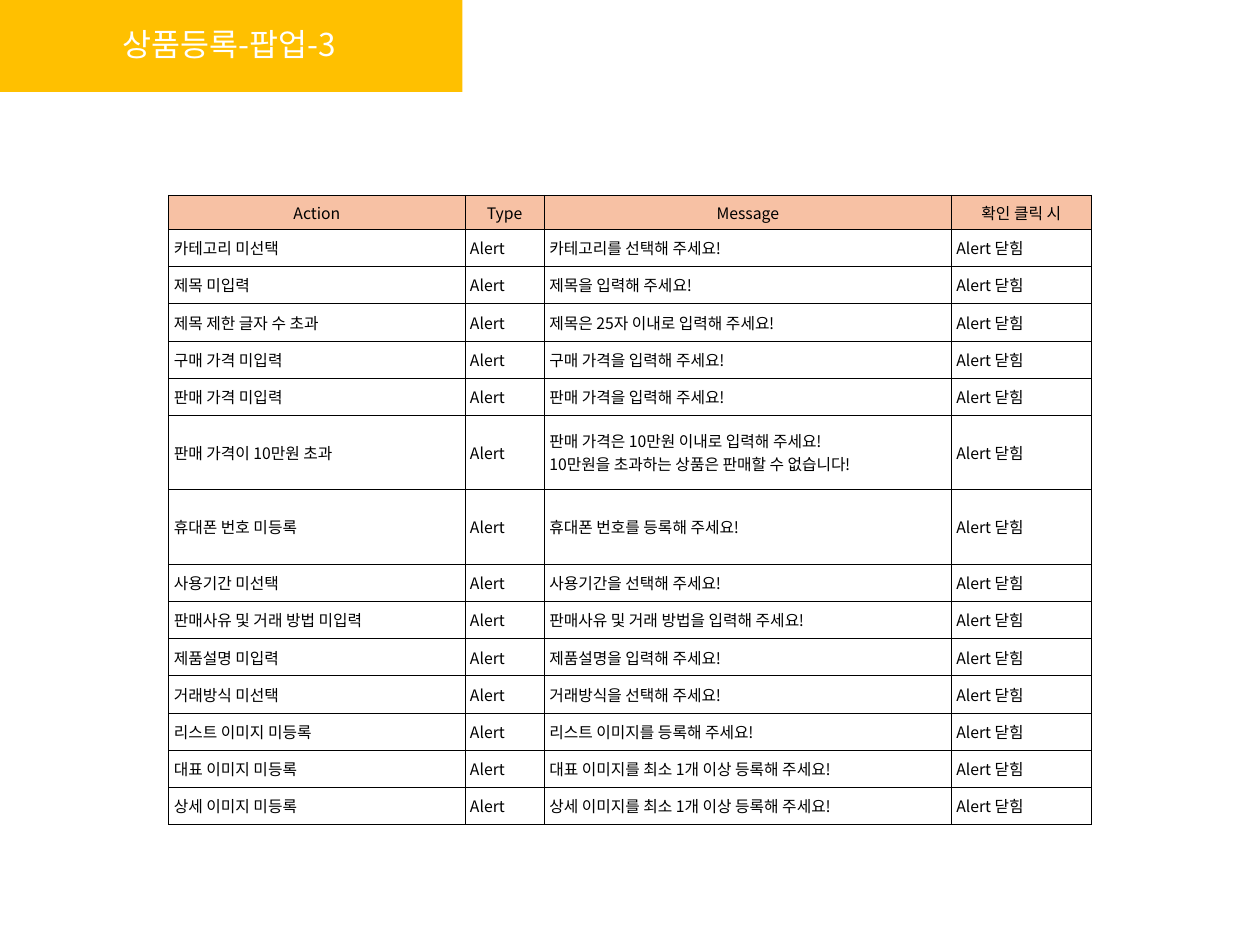
from lxml import etree
from pptx import Presentation
from pptx.dml.color import RGBColor
from pptx.enum.text import MSO_ANCHOR, PP_ALIGN
from pptx.oxml.ns import qn
from pptx.util import Inches, Pt

CENTER, LEFT = PP_ALIGN.CENTER, PP_ALIGN.LEFT
MIDDLE = MSO_ANCHOR.MIDDLE

AMBER = RGBColor(0xFF, 0xC0, 0x00)
PEACH = RGBColor(0xF7, 0xC1, 0xA4)
WHITE = RGBColor(0xFF, 0xFF, 0xFF)
BLACK = RGBColor(0, 0, 0)

FONT = "Noto Sans CJK KR"
WIDE, HIGH = 10, 7.5

# Table grid, in inches; a body row is one or two units high
LEFT_X, TOP_Y, TALL = 1.34, 1.55, 5
COLS = (2.35, 0.63, 3.23, 1.11)
HEAD_H = 0.27
HEADS = ("Action", "Type", "Message", "확인 클릭 시")
KIND, CLOSE = "Alert", "Alert 닫힘"

# Action, message, units of height
ALERTS = (
    ("카테고리 미선택", "카테고리를 선택해 주세요!", 1),
    ("제목 미입력", "제목을 입력해 주세요!", 1),
    ("제목 제한 글자 수 초과", "제목은 25자 이내로 입력해 주세요!", 1),
    ("구매 가격 미입력", "구매 가격을 입력해 주세요!", 1),
    ("판매 가격 미입력", "판매 가격을 입력해 주세요!", 1),
    ("판매 가격이 10만원 초과",
     "판매 가격은 10만원 이내로 입력해 주세요!\n"
     "10만원을 초과하는 상품은 판매할 수 없습니다!", 2),
    ("휴대폰 번호 미등록", "휴대폰 번호를 등록해 주세요!", 2),
    ("사용기간 미선택", "사용기간을 선택해 주세요!", 1),
    ("판매사유 및 거래 방법 미입력", "판매사유 및 거래 방법을 입력해 주세요!", 1),
    ("제품설명 미입력", "제품설명을 입력해 주세요!", 1),
    ("거래방식 미선택", "거래방식을 선택해 주세요!", 1),
    ("리스트 이미지 미등록", "리스트 이미지를 등록해 주세요!", 1),
    ("대표 이미지 미등록", "대표 이미지를 최소 1개 이상 등록해 주세요!", 1),
    ("상세 이미지 미등록", "상세 이미지를 최소 1개 이상 등록해 주세요!", 1),
)


def add_text(para, text, size, color):
    """Add one run per line of text, with a line break between them."""
    for i, line in enumerate(text.split("\n")):
        if i:
            para.add_line_break()
        run = para.add_run()
        run.text = line
        font = run.font
        font.name, font.size, font.bold = FONT, Pt(size), False
        font.color.rgb = color
        # East Asian glyphs take their own font entry
        east = etree.SubElement(font._element, qn("a:ea"))
        east.set("typeface", FONT)


def add_edges(cell):
    """Draw a thin black line on all four sides of a cell."""
    props = cell._tc.get_or_add_tcPr()
    for i, side in enumerate(("lnL", "lnR", "lnT", "lnB")):
        line = etree.Element(qn(f"a:{side}"), w=str(Pt(0.5)))
        fill = etree.SubElement(line, qn("a:solidFill"))
        etree.SubElement(fill, qn("a:srgbClr"), val=str(BLACK))
        props.insert(i, line)


def fill_cell(cell, text, fill, align):
    cell.fill.solid()
    cell.fill.fore_color.rgb = fill
    add_edges(cell)
    cell.vertical_anchor = MIDDLE
    cell.margin_left = cell.margin_right = Inches(0.04)
    cell.margin_top = cell.margin_bottom = 0
    para = cell.text_frame.paragraphs[0]
    para.alignment = align
    add_text(para, text, 9, BLACK)


def add_grid(slide):
    frame = slide.shapes.add_table(
        len(ALERTS) + 1, len(COLS), Inches(LEFT_X), Inches(TOP_Y),
        Inches(sum(COLS)), Inches(TALL))
    table = frame.table
    for col, width in zip(table.columns, COLS):
        col.width = Inches(width)

    unit = (TALL - HEAD_H) / sum(units for _, _, units in ALERTS)
    highs = [HEAD_H] + [unit * units for _, _, units in ALERTS]
    rows = [HEADS] + [(act, KIND, note, CLOSE) for act, note, _ in ALERTS]
    for r, (texts, high) in enumerate(zip(rows, highs)):
        table.rows[r].height = Inches(high)
        fill, align = (WHITE, LEFT) if r else (PEACH, CENTER)
        for c, text in enumerate(texts):
            fill_cell(table.cell(r, c), text, fill, align)


def set_title(slide, text):
    band = slide.shapes.title
    band.left, band.top = Inches(-0.03), 0
    band.width, band.height = Inches(0.37 * WIDE), Inches(0.73)
    band.fill.solid()
    band.fill.fore_color.rgb = AMBER
    band.text_frame.vertical_anchor = MIDDLE
    para = band.text_frame.paragraphs[0]
    para.alignment = CENTER
    para.line_spacing = 0.9
    para.space_before = Pt(11)
    add_text(para, text, 18, WHITE)


def main():
    deck = Presentation()
    deck.slide_width, deck.slide_height = Inches(WIDE), Inches(HIGH)
    # Title-only layout
    slide = deck.slides.add_slide(deck.slide_layouts[5])
    set_title(slide, "상품등록-팝업-3")
    add_grid(slide)
    deck.save("out.pptx")


if __name__ == "__main__":
    main()
